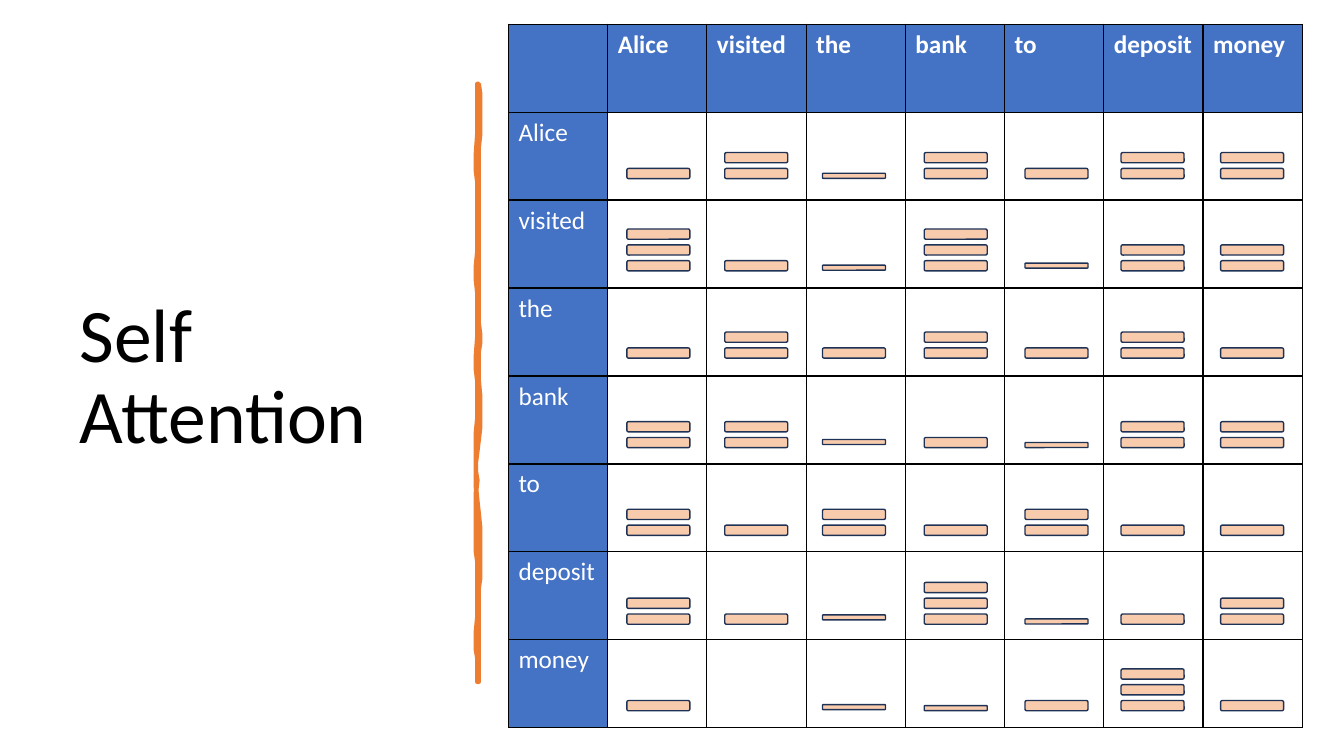
from lxml import etree
from pptx import Presentation
from pptx.dml.color import RGBColor
from pptx.enum import shapes, text
from pptx.oxml import ns
from pptx.util import Pt

BLUE = RGBColor(0x44, 0x72, 0xC4)
NAVY = RGBColor(0x1E, 0x32, 0x56)
PEACH = RGBColor(0xF8, 0xCB, 0xAD)
ORANGE = RGBColor(0xED, 0x7D, 0x31)
WHITE = RGBColor(0xFF, 0xFF, 0xFF)
BLACK = RGBColor(0, 0, 0)

FONT = "Calibri"
WORDS = ["Alice", "visited", "the", "bank", "to", "deposit", "money"]
N = len(WORDS) + 1
COL_W, ROW_H = 70.87, 62.82
BAR_W, BAR_H, THIN_H, BAR_STEP = 45, 7.3, 3.6, 11.3

BAR_LEFTS = [447.8, 517.7, 587.5, 660.2, 732.2, 800.8, 871.9]
BAR_TOPS = [120.3, 186.2, 248.5, 312.5, 375.1, 438.6, 500.4]
BAR_COUNTS = [
    [1, 2, 0, 2, 1, 2, 2],
    [3, 1, 0, 3, 0, 2, 2],
    [1, 2, 1, 2, 1, 2, 1],
    [2, 2, 0, 1, 0, 2, 2],
    [2, 1, 2, 1, 2, 1, 1],
    [2, 1, 0, 3, 0, 1, 2],
    [1, None, 0, 0, 1, 3, 1],
]
THIN_TOPS = {
    (0, 2): 123.8, (1, 2): 189.4, (1, 4): 187.9, (3, 2): 313.9, (3, 4): 316.1,
    (5, 2): 439.2, (5, 4): 442.1, (6, 2): 503.3, (6, 3): 504,
}

STROKE_START = (342, 60.5)
STROKE_CURVES = [
    [(343.4, 73.4), (343.4, 85.7), (342, 105.1)],
    [(340.6, 124.6), (342.7, 140.4), (342, 162.7)],
    [(341.3, 185), (342, 188.6), (342, 211.7)],
    [(342, 234), (343.4, 246.2), (342, 256.3)],
    [(340.6, 266.4), (344.9, 298.1), (342, 313.9)],
    [(339.1, 329), (339.8, 348.5), (342, 367.2)],
    [(343.4, 385.9), (343.4, 406.1), (342, 420.5)],
    [(340.6, 434.2), (342.7, 468), (342, 486.7)],
    [(341.3, 486.7), (340.6, 486.7), (340.6, 486.7)],
    [(341.3, 465.1), (339.1, 463.7), (340.6, 441.4)],
    [(341.3, 419.8), (341.3, 410.4), (340.6, 401)],
    [(339.8, 391.7), (339.8, 356.4), (340.6, 343.4)],
    [(340.6, 330.5), (339.1, 320.4), (340.6, 298.8)],
    [(341.3, 277.9), (339.8, 268.6), (340.6, 241.2)],
    [(341.3, 214.6), (339.8, 202.3), (340.6, 180)],
    [(341.3, 157), (342, 144), (340.6, 130.3)],
    [(338.4, 117.4), (343.4, 74.9), (340.6, 60.5)],
]


def set_borders(cell):
    tcPr = cell._tc.get_or_add_tcPr()
    for side in ("a:lnL", "a:lnR", "a:lnT", "a:lnB"):
        ln = etree.SubElement(tcPr, ns.qn(side), w=str(Pt(1)))
        fill = etree.SubElement(ln, ns.qn("a:solidFill"))
        etree.SubElement(fill, ns.qn("a:srgbClr"), val=str(BLACK))


def add_bar(left, top, height):
    sp = s.shapes.add_shape(shapes.MSO_SHAPE.ROUNDED_RECTANGLE,
                            Pt(left), Pt(top), Pt(BAR_W), Pt(height))
    sp.shadow.inherit = False
    sp.fill.solid()
    sp.fill.fore_color.rgb = PEACH
    sp.line.color.rgb = NAVY
    sp.line.width = Pt(1)


prs = Presentation()
prs.slide_width, prs.slide_height = Pt(960), Pt(540)
s = prs.slides.add_slide(prs.slide_layouts[6])

title = s.shapes.add_textbox(Pt(49.7), Pt(50.4), Pt(269.3), Pt(440))
tf = title.text_frame
tf.word_wrap = True
tf.vertical_anchor = text.MSO_ANCHOR.MIDDLE
tf.text = "Self Attention"
p = tf.paragraphs[0]
p.line_spacing = 0.9
p.font.name, p.font.size = FONT, Pt(54)
p.font.color.rgb = BLACK

points = []
start = STROKE_START
for c1, c2, end in STROKE_CURVES:
    for step in range(1, 7):
        t = step / 6
        points.append(tuple(
            (1 - t) ** 3 * a + 3 * (1 - t) ** 2 * t * b + 3 * (1 - t) * t * t * c + t ** 3 * d
            for a, b, c, d in zip(start, c1, c2, end)))
    start = end
fb = s.shapes.build_freeform(*STROKE_START, scale=Pt(1))
fb.add_line_segments(points, close=True)
stroke = fb.convert_to_shape()
stroke.shadow.inherit = False
stroke.fill.solid()
stroke.fill.fore_color.rgb = ORANGE
stroke.line.color.rgb = ORANGE
stroke.line.width = Pt(3.25)

table = s.shapes.add_table(N, N, Pt(363.2), Pt(17.3), Pt(COL_W * N), Pt(ROW_H * N)).table
table.horz_banding = False
for i in range(N):
    table.columns[i].width = Pt(COL_W)
    table.rows[i].height = Pt(ROW_H)
    for j in range(N):
        cell = table.cell(i, j)
        set_borders(cell)
        cell.fill.solid()
        cell.fill.fore_color.rgb = WHITE if i and j else BLUE
        if (i == 0) != (j == 0):
            cell.text = WORDS[i + j - 1]
            font = cell.text_frame.paragraphs[0].runs[0].font
            font.name, font.size, font.bold = FONT, Pt(18), i == 0
            font.color.rgb = WHITE

for i, counts in enumerate(BAR_COUNTS):
    for j, count in enumerate(counts):
        if count == 0:
            add_bar(BAR_LEFTS[j], THIN_TOPS[i, j], THIN_H)
        for k in range(count or 0):
            add_bar(BAR_LEFTS[j], BAR_TOPS[i] - k * BAR_STEP, BAR_H)

prs.save("out.pptx")
